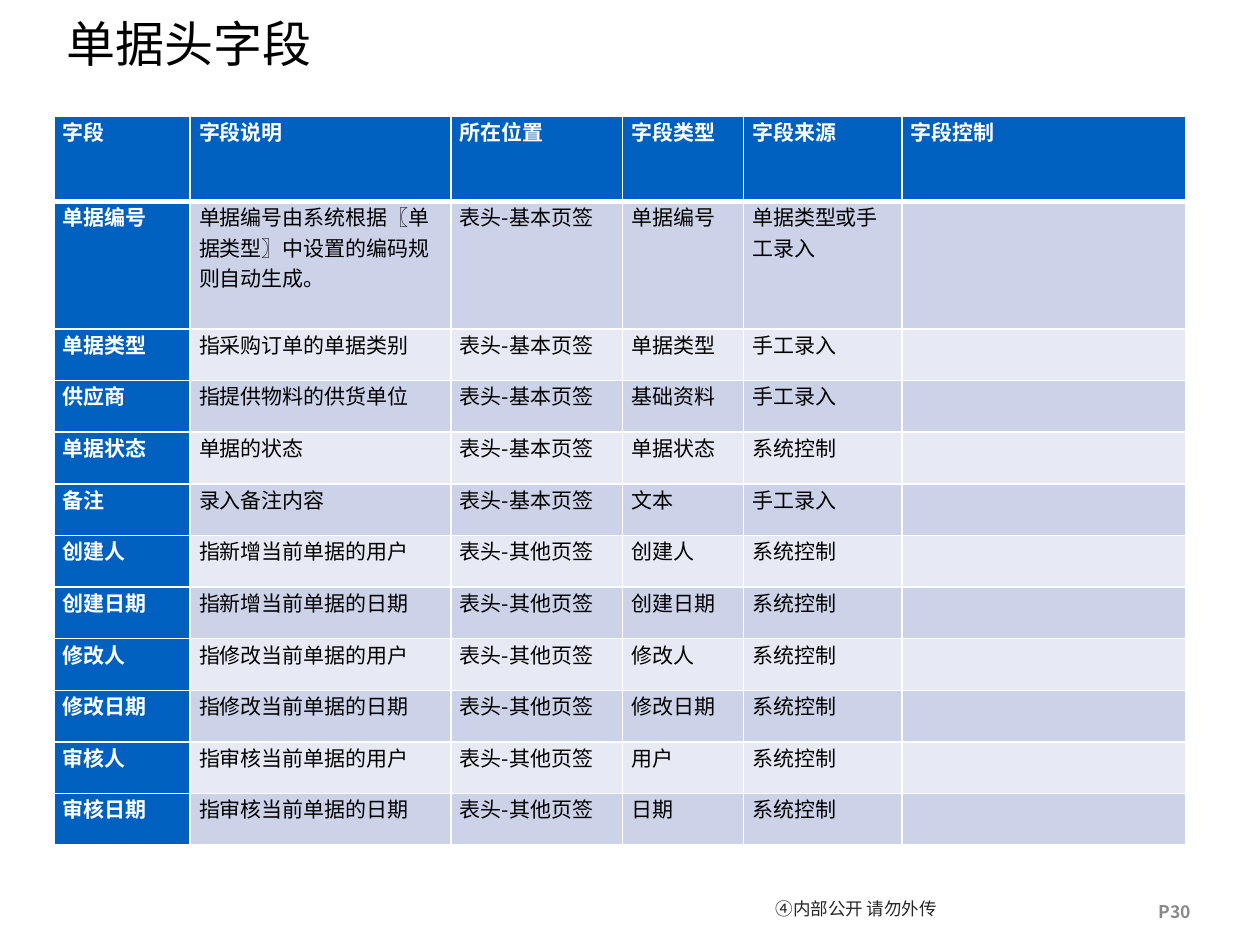
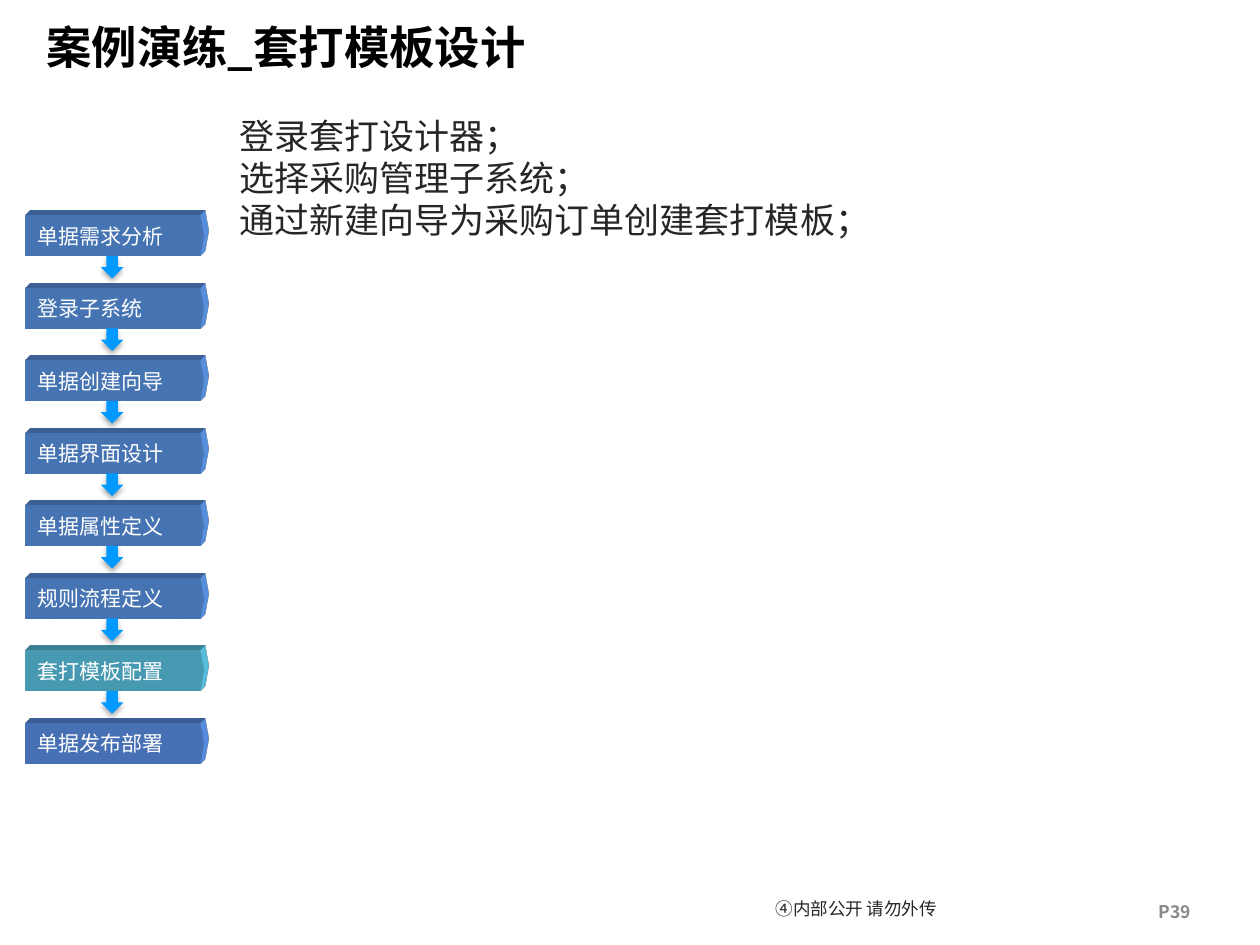
from typing import NamedTuple, Optional

from lxml.etree import SubElement
from pptx import Presentation
from pptx.dml.color import RGBColor
from pptx.enum.shapes import MSO_SHAPE
from pptx.enum.text import MSO_ANCHOR, PP_ALIGN
from pptx.oxml import parse_xml
from pptx.oxml.ns import nsdecls, qn
from pptx.util import Inches, Pt

SANS = "Noto Sans CJK SC"
WHITE, BLACK, INK, GREY = "FFFFFF", "000000", "262626", "898989"
HEADER_BLUE, BAND_DARK, BAND_LIGHT = "0060C0", "CCD2E8", "E7EAF4"
STEP_BLUE, STEP_CURRENT, STEP_LAST, ARROW_BLUE = "65A5FF", "66DAFE", "65A0FF", "0099FF"


class Style(NamedTuple):
    size: float
    color: str
    bold: bool = False
    font: str = SANS
    align: PP_ALIGN = PP_ALIGN.LEFT
    line_spacing: Optional[float] = None


class Area(NamedTuple):
    left: float
    top: float
    width: float
    height: float

    def lengths(self) -> list:
        return [Inches(value) for value in self]


class Step(NamedTuple):
    label: str
    color: str = STEP_BLUE


FOOTER = Style(10, INK, align=PP_ALIGN.CENTER, line_spacing=14)
PAGE_NUMBER = Style(10, GREY, bold=True)
FIELD_TITLE = Style(28, BLACK)
CASE_TITLE = Style(25.9, BLACK, bold=True)
BODY = Style(20, INK, line_spacing=24)
HEADING_CELL = Style(12, WHITE, bold=True)
BODY_CELL = Style(12, BLACK)
STEP_TEXT = Style(12, WHITE, font="Montserrat")

COLUMN_WIDTHS = [1.08, 2.07, 1.36, 0.96, 1.26, 2.25]
ROW_HEIGHTS = [0.68, 1.01] + [0.41] * 10
BASIC, OTHER = "表头-基本页签", "表头-其他页签"
MANUAL, SYSTEM = "手工录入", "系统控制"
FIELD_ROWS = [
    ("字段", "字段说明", "所在位置", "字段类型", "字段来源", "字段控制"),
    ("单据编号", "单据编号由系统根据〖单据类型〗中设置的编码规则自动生成。", BASIC,
     "单据编号", "单据类型或手工录入", ""),
    ("单据类型", "指采购订单的单据类别", BASIC, "单据类型", MANUAL, ""),
    ("供应商", "指提供物料的供货单位", BASIC, "基础资料", MANUAL, ""),
    ("单据状态", "单据的状态", BASIC, "单据状态", SYSTEM, ""),
    ("备注", "录入备注内容", BASIC, "文本", MANUAL, ""),
    ("创建人", "指新增当前单据的用户", OTHER, "创建人", SYSTEM, ""),
    ("创建日期", "指新增当前单据的日期", OTHER, "创建日期", SYSTEM, ""),
    ("修改人", "指修改当前单据的用户", OTHER, "修改人", SYSTEM, ""),
    ("修改日期", "指修改当前单据的日期", OTHER, "修改日期", SYSTEM, ""),
    ("审核人", "指审核当前单据的用户", OTHER, "用户", SYSTEM, ""),
    ("审核日期", "指审核当前单据的日期", OTHER, "日期", SYSTEM, ""),
]
REMARK_FONTS = ["Calibri", "Times New Roman", SANS, "Calibri", "Calibri", SANS]

STEPS = [
    Step("单据需求分析"),
    Step("登录子系统"),
    Step("单据创建向导"),
    Step("单据界面设计"),
    Step("单据属性定义"),
    Step("规则流程定义"),
    Step("套打模板配置", STEP_CURRENT),
    Step("单据发布部署", STEP_LAST),
]
STEP_TOP, STEP_BOTTOM_TOP = 1.71, 5.74
STEP_PITCH = (STEP_BOTTOM_TOP - STEP_TOP) / (len(STEPS) - 1)


def rgb(color: str) -> RGBColor:
    return RGBColor.from_string(color)


def write_lines(frame, lines: list[str], style: Style) -> None:
    for index, line in enumerate(lines):
        para = frame.paragraphs[0] if index == 0 else frame.add_paragraph()
        para.text = line
        para.alignment = style.align
        if style.line_spacing:
            para.line_spacing = Pt(style.line_spacing)
        font = para.font
        font.size = Pt(style.size)
        font.bold = style.bold
        font.name = style.font
        font.color.rgb = rgb(style.color)
        east_asian = SubElement(para._p.pPr.find(qn("a:defRPr")), qn("a:ea"))
        east_asian.set("typeface", SANS)


def add_text(page, area: Area, lines: list[str], style: Style,
             anchor: MSO_ANCHOR = MSO_ANCHOR.TOP):
    box = page.shapes.add_textbox(*area.lengths())
    frame = box.text_frame
    frame.word_wrap = True
    frame.vertical_anchor = anchor
    write_lines(frame, lines, style)
    return box


def add_page(deck, number: int):
    page = deck.slides.add_slide(deck.slide_layouts[6])
    footer = add_text(page, Area(5.91, 7.02, 1.77, 0.36), ["④内部公开 请勿外传"],
                      FOOTER, MSO_ANCHOR.MIDDLE)
    frame = footer.text_frame
    frame.margin_left = frame.margin_right = Inches(0.08)
    frame.margin_top = frame.margin_bottom = Inches(0.01)
    add_text(page, Area(9.1, 7.1, 0.9, 0.27), [f"P{number}"], PAGE_NUMBER)
    return page


def set_borders(cell, row: int) -> None:
    widths = {"L": 1, "R": 1, "T": 3 if row == 1 else 1, "B": 3 if row == 0 else 1}
    properties = cell._tc.get_or_add_tcPr()
    for index, (side, width) in enumerate(widths.items()):
        properties.insert(index, parse_xml(
            f'<a:ln{side} {nsdecls("a")} w="{Pt(width)}"><a:solidFill>'
            f'<a:srgbClr val="{WHITE}"/></a:solidFill></a:ln{side}>'))


def add_field_table(page) -> None:
    area = Area(0.43, 0.92, sum(COLUMN_WIDTHS), sum(ROW_HEIGHTS))
    table = page.shapes.add_table(
        len(ROW_HEIGHTS), len(COLUMN_WIDTHS), *area.lengths()).table
    for column, width in zip(table.columns, COLUMN_WIDTHS):
        column.width = Inches(width)
    for row, height in zip(table.rows, ROW_HEIGHTS):
        row.height = Inches(height)
    for row, texts in enumerate(FIELD_ROWS):
        for column, text in enumerate(texts):
            cell = table.cell(row, column)
            is_heading = row == 0 or column == 0
            style = HEADING_CELL if is_heading else BODY_CELL
            if texts[0] == "备注":
                style = style._replace(font=REMARK_FONTS[column])
            cell.margin_left = cell.margin_right = Inches(0.07)
            cell.margin_top = cell.margin_bottom = 0
            band = BAND_DARK if row % 2 else BAND_LIGHT
            cell.fill.solid()
            cell.fill.fore_color.rgb = rgb(HEADER_BLUE if is_heading else band)
            set_borders(cell, row)
            write_lines(cell.text_frame, [text], style)


def add_filled_shape(page, kind: MSO_SHAPE, area: Area, color: str):
    shape = page.shapes.add_shape(kind, *area.lengths())
    shape.shadow.inherit = False
    shape.fill.solid()
    shape.fill.fore_color.rgb = rgb(color)
    shape.line.fill.background()
    return shape


def add_step(page, step: Step, top: float) -> None:
    shape = add_filled_shape(page, MSO_SHAPE.PENTAGON, Area(0.2, top, 1.42, 0.32), step.color)
    shape.adjustments[0] = 0.09
    properties = shape._element.spPr
    properties.append(parse_xml(
        f'<a:scene3d {nsdecls("a")}><a:camera prst="legacyObliqueTopRight"/>'
        '<a:lightRig rig="legacyFlat3" dir="b"/></a:scene3d>'))
    properties.append(parse_xml(
        f'<a:sp3d {nsdecls("a")} extrusionH="{Inches(0.11)}" prstMaterial="legacyMatte">'
        f'<a:extrusionClr><a:srgbClr val="{step.color}"/></a:extrusionClr></a:sp3d>'))
    frame = shape.text_frame
    frame.word_wrap = False
    frame.vertical_anchor = MSO_ANCHOR.MIDDLE
    write_lines(frame, [step.label], STEP_TEXT)


def add_step_arrow(page, top: float) -> None:
    arrow = add_filled_shape(page, MSO_SHAPE.DOWN_ARROW, Area(0.8, top, 0.18, 0.18), ARROW_BLUE)
    effects = arrow._element.spPr.find(qn("a:effectLst"))
    effects.append(parse_xml(
        f'<a:outerShdw {nsdecls("a")} blurRad="{Pt(3.1)}" dist="{Pt(1.8)}" dir="5400000" '
        f'rotWithShape="0"><a:srgbClr val="{BLACK}"><a:alpha val="35000"/></a:srgbClr>'
        '</a:outerShdw>'))


def build_field_page(deck) -> None:
    page = add_page(deck, 30)
    add_text(page, Area(0.43, 0, 7.32, 0.68), ["单据头字段"], FIELD_TITLE, MSO_ANCHOR.MIDDLE)
    add_field_table(page)


def build_case_page(deck) -> None:
    page = add_page(deck, 39)
    add_text(page, Area(0.27, 0.13, 7.8, 0.48), ["案例演练_套打模板设计"],
             CASE_TITLE, MSO_ANCHOR.MIDDLE)
    add_text(page, Area(1.8, 0.86, 8.2, 1.78),
             ["登录套打设计器；", "选择采购管理子系统；", "通过新建向导为采购订单创建套打模板；"], BODY)
    tops = [STEP_TOP + index * STEP_PITCH for index in range(len(STEPS))]
    for step, top in zip(STEPS, tops):
        add_step(page, step, top)
    for top in tops[:-1]:
        add_step_arrow(page, top + 0.32)


def main() -> None:
    deck = Presentation()
    deck.slide_width = Inches(10)
    deck.slide_height = Inches(7.5)
    build_field_page(deck)
    build_case_page(deck)
    deck.save("out.pptx")


if __name__ == "__main__":
    main()
